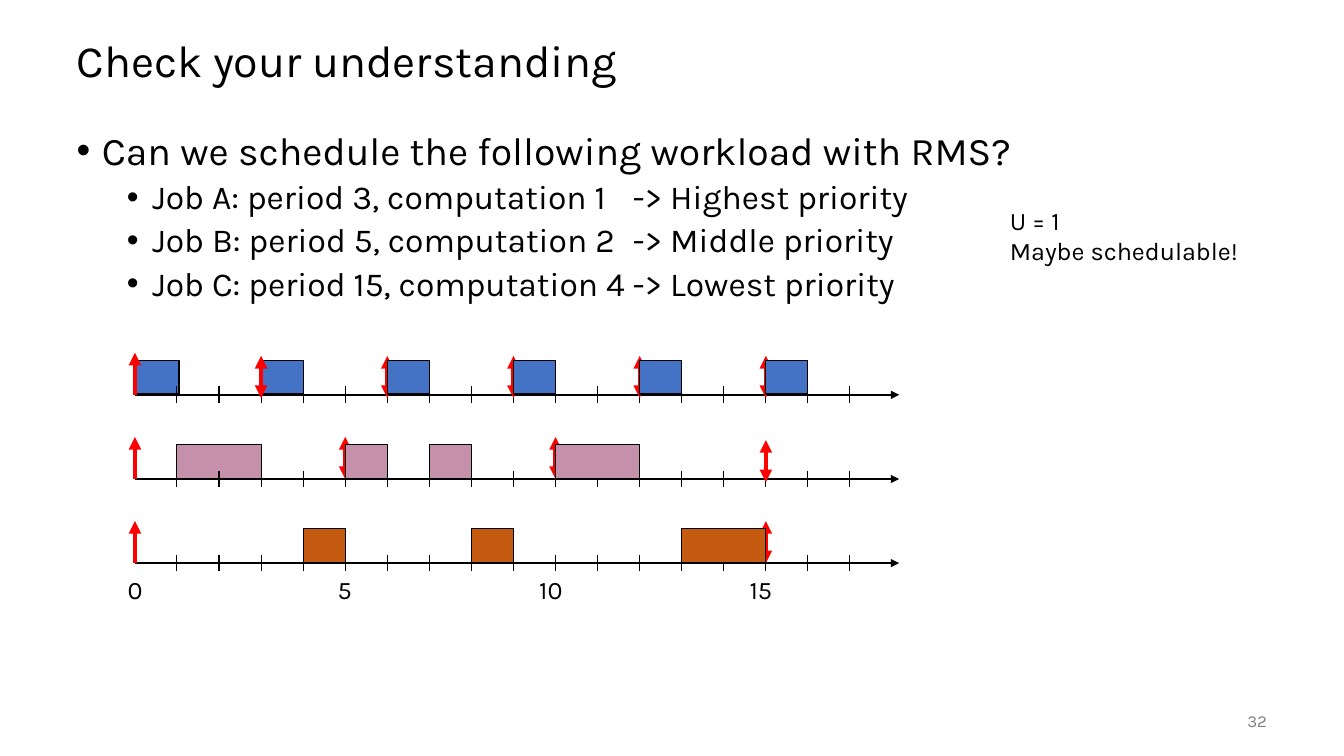
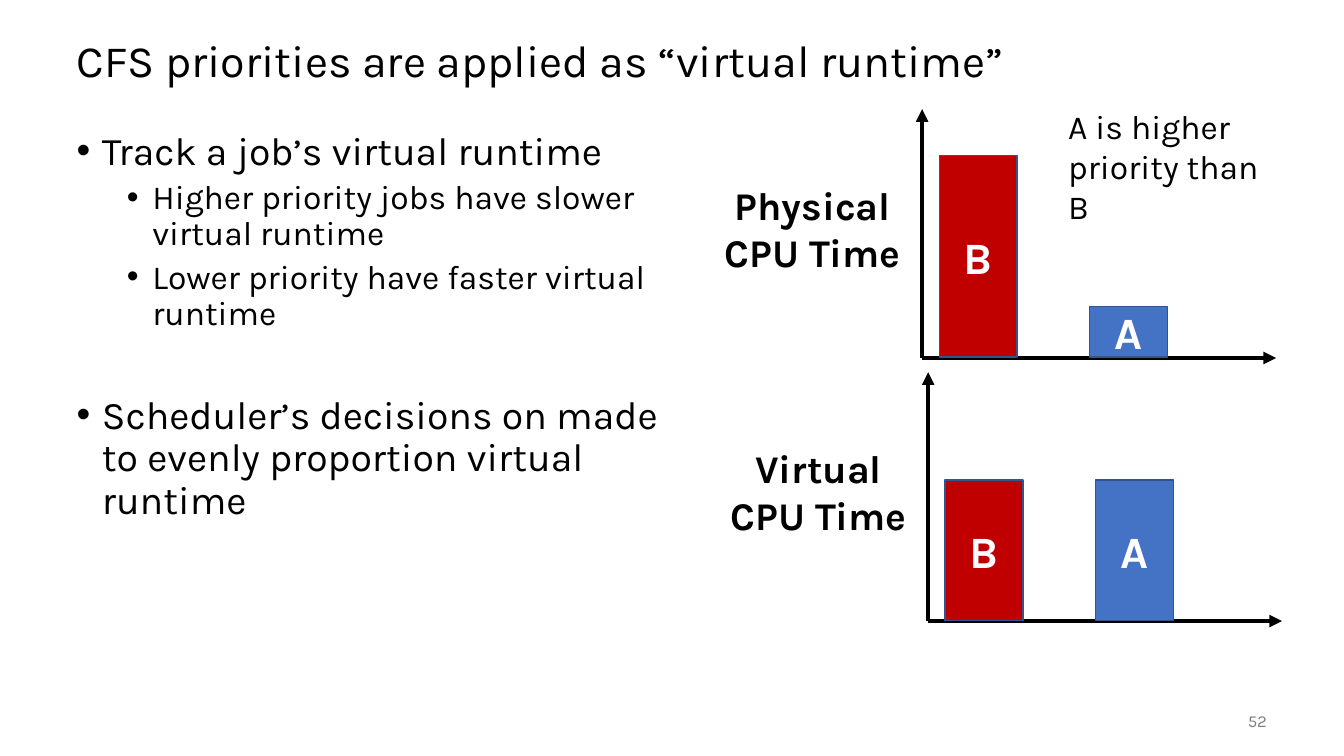
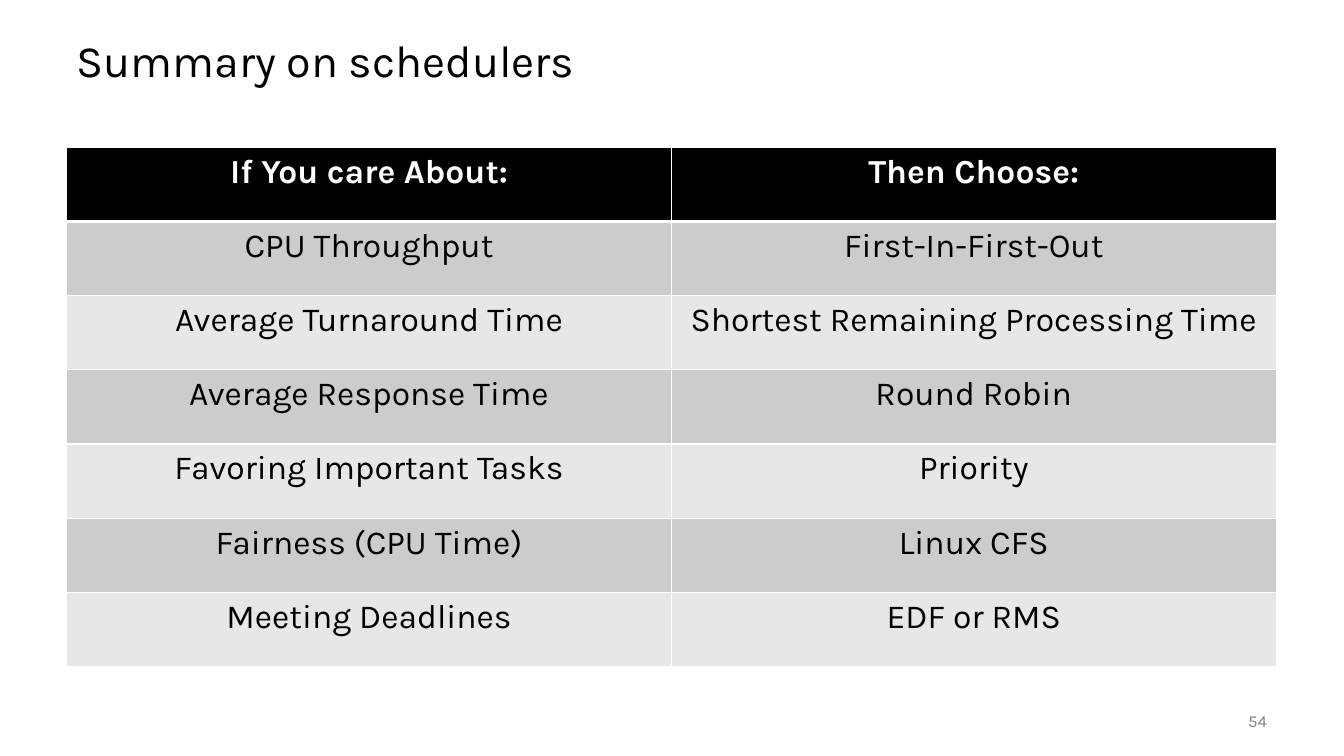
from dataclasses import dataclass

from lxml.etree import SubElement
from pptx import Presentation
from pptx.dml.color import RGBColor
from pptx.enum.shapes import MSO_CONNECTOR, MSO_SHAPE
from pptx.enum.text import MSO_ANCHOR, PP_ALIGN
from pptx.oxml.ns import qn
from pptx.util import Cm, Pt


@dataclass(frozen=True)
class Theme:
    font: str = "Karla"
    black: str = "000000"
    white: str = "FFFFFF"
    gray: str = "808080"
    red: str = "FF0000"
    blue: str = "4472C4"
    pink: str = "C490AA"
    orange: str = "C55A11"
    crimson: str = "C00000"
    bar_outline: str = "325491"
    bands: tuple = ("E7E7E7", "CCCCCC")
    title_size: int = 32
    body_size: int = 28
    detail_size: int = 24
    label_size: int = 18
    number_size: int = 12


def set_values(target, values):
    for name, value in values.items():
        setattr(target, name, value)


class Slides:
    def __init__(self, theme):
        self.theme = theme
        self.deck = Presentation()
        set_values(self.deck, {"slide_width": Cm(33.87), "slide_height": Cm(19.05)})
        self.page = None

    def start(self, title, number):
        self.page = self.deck.slides.add_slide(self.deck.slide_layouts[6])
        theme = self.theme
        box = self.text([title], 1.68, 0.64, 30.48, 1.9, theme.title_size,
                        anchor=MSO_ANCHOR.MIDDLE)
        box.text_frame.paragraphs[0].line_spacing = 0.9
        self.text([str(number)], 29.64, 17.65, 2.54, 1.02, theme.number_size,
                  color=theme.gray, align=PP_ALIGN.RIGHT, anchor=MSO_ANCHOR.MIDDLE)

    def span(self, para, text, size, color=None, bold=False):
        span = para.add_run()
        span.text = text
        set_values(span.font, {"name": self.theme.font, "size": Pt(size), "bold": bold})
        span.font.color.rgb = RGBColor.from_string(color or self.theme.black)

    def paragraphs(self, frame, lines, size, color=None, bold=False,
                   align=PP_ALIGN.LEFT):
        for index, line in enumerate(lines):
            para = frame.add_paragraph() if index else frame.paragraphs[0]
            para.alignment = align
            self.span(para, line, size, color, bold)

    def text(self, lines, left, top, width, height, size, color=None, bold=False,
             align=PP_ALIGN.LEFT, anchor=MSO_ANCHOR.TOP, wrap=True):
        box = self.page.shapes.add_textbox(Cm(left), Cm(top), Cm(width), Cm(height))
        set_values(box.text_frame, {"word_wrap": wrap, "vertical_anchor": anchor})
        self.paragraphs(box.text_frame, lines, size, color, bold, align)
        return box

    def bullets(self, items, width, tab_stops=()):
        box = self.page.shapes.add_textbox(Cm(1.68), Cm(3.18), Cm(width), Cm(13.97))
        frame = box.text_frame
        frame.word_wrap = True
        for index, (level, space, line) in enumerate(items):
            para = frame.add_paragraph() if index else frame.paragraphs[0]
            set_values(para, {"level": level, "line_spacing": 0.9,
                              "space_before": Pt(space)})
            properties = para._p.get_or_add_pPr()
            properties.set("marL", str(Cm(0.64 + 1.27 * level)))
            properties.set("indent", str(-Cm(0.64)))
            SubElement(properties, qn("a:buFont"), typeface="Arial")
            SubElement(properties, qn("a:buChar"), char="•")
            if "\t" in line:
                stops = SubElement(properties, qn("a:tabLst"))
                for stop in tab_stops:
                    SubElement(stops, qn("a:tab"), pos=str(Cm(stop)), algn="l")
            size = self.theme.detail_size if level else self.theme.body_size
            self.span(para, line, size)

    def block(self, left, top, width, height, fill, outline, weight, label=None):
        block = self.page.shapes.add_shape(
            MSO_SHAPE.RECTANGLE, Cm(left), Cm(top), Cm(width), Cm(height))
        block.shadow.inherit = False
        block.fill.solid()
        block.fill.fore_color.rgb = RGBColor.from_string(fill)
        block.line.color.rgb = RGBColor.from_string(outline)
        block.line.width = Pt(weight)
        if label:
            block.text_frame.vertical_anchor = MSO_ANCHOR.MIDDLE
            self.paragraphs(block.text_frame, [label], self.theme.title_size,
                            self.theme.white, True, PP_ALIGN.CENTER)

    def line(self, start, end, color, weight, arrows=()):
        line = self.page.shapes.add_connector(
            MSO_CONNECTOR.STRAIGHT, *(Cm(value) for value in start + end))
        line.line.color.rgb = RGBColor.from_string(color)
        line.line.width = Pt(weight)
        stroke = line.line._get_or_add_ln()
        for arrow in arrows:
            SubElement(stroke, qn(f"a:{arrow}"), type="triangle")
        SubElement(line._element.spPr, qn("a:effectLst"))

    def table(self, rows, left, top, column_width, row_height):
        theme = self.theme
        columns = len(rows[0])
        table = self.page.shapes.add_table(
            len(rows), columns, Cm(left), Cm(top),
            Cm(column_width * columns), Cm(row_height * len(rows))).table
        set_values(table, {"first_row": False, "horz_banding": False})
        for column in table.columns:
            column.width = Cm(column_width)
        for index, texts in enumerate(rows):
            header = index == 0
            table.rows[index].height = Cm(row_height)
            for cell, text in zip(table.rows[index].cells, texts):
                self.paragraphs(cell.text_frame, [text], theme.detail_size,
                                theme.white if header else theme.black,
                                header, PP_ALIGN.CENTER)
                weights = {"lnL": 1, "lnR": 1, "lnT": 3 if index == 1 else 1,
                           "lnB": 3 if header else 1}
                for side, weight in weights.items():
                    edge = SubElement(cell._tc.get_or_add_tcPr(), qn(f"a:{side}"),
                                      w=str(Pt(weight)))
                    paint = SubElement(edge, qn("a:solidFill"))
                    SubElement(paint, qn("a:srgbClr"), val=theme.white)
                cell.fill.solid()
                cell.fill.fore_color.rgb = RGBColor.from_string(
                    theme.black if header else theme.bands[index % 2])

    def timeline_blocks(self, axis, blocks, color):
        for start, length in blocks:
            self.block(ORIGIN + start * UNIT, axis - 0.87, length * UNIT, 0.85,
                       color, self.theme.black, 0.75)

    def timeline_axis(self, axis):
        black = self.theme.black
        self.line((ORIGIN, axis), (22.66, axis), black, 1.5, ["tailEnd"])
        for tick in range(1, 18):
            x = ORIGIN + tick * UNIT
            self.line((x, axis - 0.21), (x, axis + 0.21), black, 0.75)

    def releases(self, axis, drops):
        for time, drop in drops.items():
            x = ORIGIN + time * UNIT
            arrows = ["headEnd", "tailEnd"] if time else ["tailEnd"]
            self.line((x, axis + drop), (x, axis + drop - 1.06),
                      self.theme.red, 3, arrows)

    def cpu_chart(self, kind, left, bottom, heights):
        theme = self.theme
        for end in ((left + 8.92, bottom), (left, bottom - 6.27)):
            self.line((left, bottom), end, theme.black, 3, ["tailEnd"])
        self.text([kind, "CPU Time"], left - 5.45, bottom - 4.57, 5.38, 2.64,
                  theme.body_size, bold=True, align=PP_ALIGN.CENTER, wrap=False)
        bars = zip("BA", (0.43, 4.22), heights, (theme.crimson, theme.blue))
        for name, offset, height, color in bars:
            self.block(left + offset, bottom - height - 0.02, 1.96, height,
                       color, theme.bar_outline, 1, name)


ORIGIN = 3.4
UNIT = 1.06


def schedule_slide(slides):
    theme = slides.theme
    slides.start("Check your understanding", 32)
    slides.bullets([
        (0, 0, "Can we schedule the following workload with RMS?"),
        (1, 5, "Job A: period 3, computation 1\t-> Highest priority"),
        (1, 5, "Job B: period 5, computation 2\t-> Middle priority"),
        (1, 5, "Job C: period 15, computation 4 -> Lowest priority"),
    ], 30.48, tab_stops=(12.11, 14.02))
    jobs = [
        {"color": theme.blue, "behind": [(0.05, 1), (3, 1)],
         "front": [(time, 1) for time in range(6, 16, 3)],
         "drops": {0: 0, **{time: 0.08 for time in range(3, 16, 3)}}},
        {"color": theme.pink, "behind": [(1, 2)],
         "front": [(5, 1), (7, 1), (10, 2)],
         "drops": {0: 0, 5: 0, 10: 0, 15: 0.08}},
        {"color": theme.orange, "behind": [(4, 1)],
         "front": [(8, 1), (13, 2)],
         "drops": {0: 0, 15: 0}},
    ]
    for row, job in enumerate(jobs):
        axis = 9.95 + row * 2.12
        slides.timeline_blocks(axis, job["behind"], job["color"])
        slides.timeline_axis(axis)
        slides.releases(axis, job["drops"])
        slides.timeline_blocks(axis, job["front"], job["color"])
    for time, left in {0: 2.97, 5: 8.26, 10: 13.34, 15: 18.64}.items():
        slides.text([str(time)], left, 14.35, 1.7, 1.02, theme.label_size)
    slides.text(["U = 1", "Maybe schedulable!"], 25.2, 5.05, 6.53, 1.8,
                theme.label_size)


def runtime_slide(slides):
    slides.start("CFS priorities are applied as “virtual runtime”", 52)
    slides.bullets([
        (0, 0, "Track a job’s virtual runtime"),
        (1, 5, "Higher priority jobs have slower virtual runtime"),
        (1, 5, "Lower priority have faster virtual runtime"),
        (0, 45, "Scheduler’s decisions on made to evenly proportion virtual runtime"),
    ], 15.24)
    slides.cpu_chart("Physical", 23.24, 9.02, (5.08, 1.27))
    slides.cpu_chart("Virtual", 23.39, 15.65, (3.53, 3.53))
    slides.text(["A is higher priority than B"], 26.67, 2.54, 5.94, 2.31,
                slides.theme.detail_size)


def summary_slide(slides):
    slides.start("Summary on schedulers", 54)
    slides.table([
        ("If You care About:", "Then Choose:"),
        ("CPU Throughput", "First-In-First-Out"),
        ("Average Turnaround Time", "Shortest Remaining Processing Time"),
        ("Average Response Time", "Round Robin"),
        ("Favoring Important Tasks", "Priority"),
        ("Fairness (CPU Time)", "Linux CFS"),
        ("Meeting Deadlines", "EDF or RMS"),
    ], 1.68, 3.71, 15.24, 1.87)


def main():
    slides = Slides(Theme())
    schedule_slide(slides)
    runtime_slide(slides)
    summary_slide(slides)
    slides.deck.save("out.pptx")


if __name__ == "__main__":
    main()
